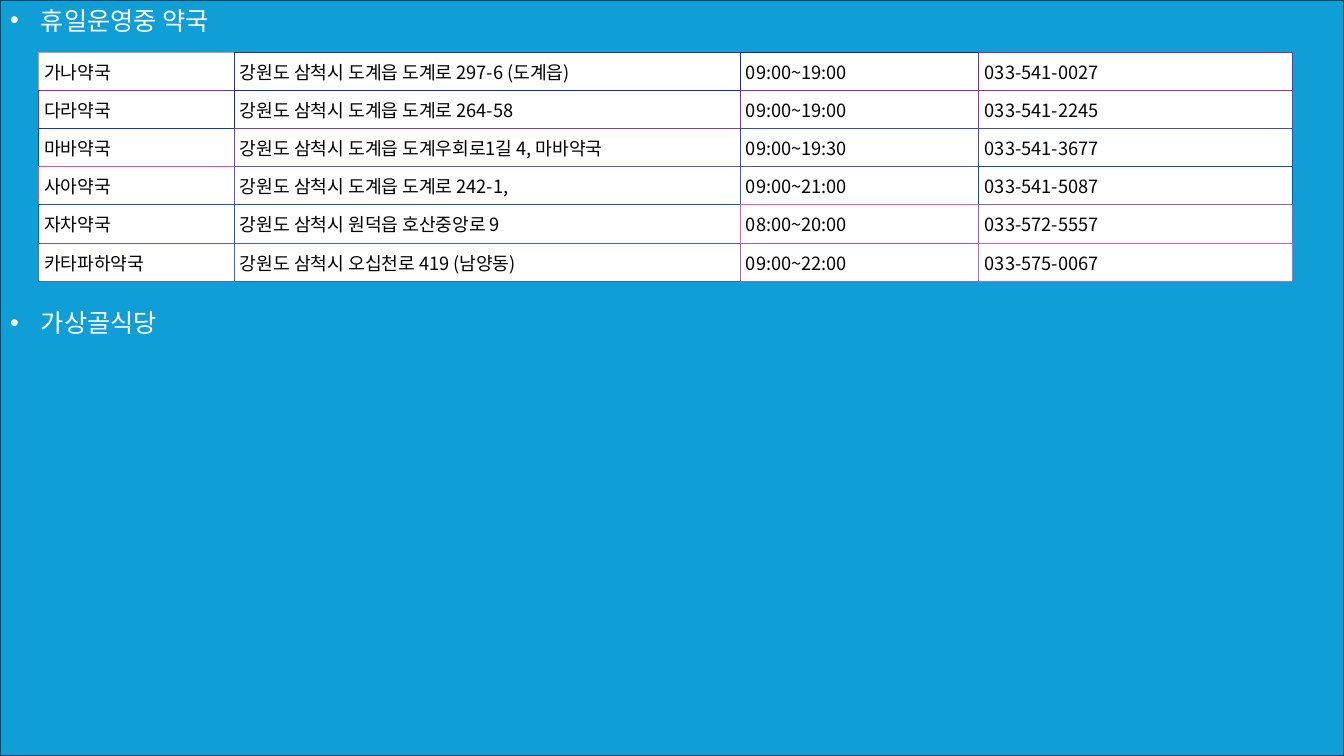
from dataclasses import dataclass

from lxml.etree import SubElement
from pptx import Presentation
from pptx.dml.color import RGBColor
from pptx.enum.text import MSO_ANCHOR, MSO_AUTO_SIZE
from pptx.oxml.ns import qn
from pptx.slide import Slide
from pptx.table import _Cell as Cell
from pptx.text.text import _Paragraph as Paragraph
from pptx.util import Emu, Pt

EMU_PER_PX = 914400 / 100.8
SLIDE_WIDTH, SLIDE_HEIGHT = 1344, 756
FONT = "Noto Sans CJK KR"

WHITE = RGBColor(0xFF, 0xFF, 0xFF)
BLACK = RGBColor(0x00, 0x00, 0x00)
SKY = RGBColor(0x0F, 0x9E, 0xD5)
NAVY = RGBColor(0x07, 0x45, 0x5D)


def px(length: int) -> Emu:
    return Emu(round(length * EMU_PER_PX))


@dataclass(frozen=True)
class Pharmacy:
    name: str
    address: str
    hours: str
    phone: str
    borders: tuple[RGBColor, ...]

    @property
    def texts(self) -> tuple[str, ...]:
        return self.name, self.address, self.hours, self.phone


@dataclass(frozen=True)
class Heading:
    text: str
    space_before: int


def colors(codes: str) -> tuple[RGBColor, ...]:
    return tuple(RGBColor.from_string(code) for code in codes.split())


HEADINGS = (Heading("휴일운영중 약국", 0), Heading("가상골식당", 272))

# Each cell's own border colour; a shared edge takes that of the later cell
PHARMACIES = (
    Pharmacy("가나약국", "강원도 삼척시 도계읍 도계로 297-6 (도계읍)", "09:00~19:00",
             "033-541-0027", colors("B09AB8 302DB8 1029B8 8025B8")),
    Pharmacy("다라약국", "강원도 삼척시 도계읍 도계로 264-58", "09:00~19:00",
             "033-541-2245", colors("9027B8 102CB8 9024B8 9030B8")),
    Pharmacy("마바약국", "강원도 삼척시 도계읍 도계우회로1길 4, 마바약국", "09:00~19:30",
             "033-541-3677", colors("0042B8 803DB8 3048B8 404DB8")),
    Pharmacy("사아약국", "강원도 삼척시 도계읍 도계로 242-1,", "09:00~21:00",
             "033-541-5087", colors("E049B8 505EB8 4059B8 0057B8")),
    Pharmacy("자차약국", "강원도 삼척시 원덕읍 호산중앙로 9", "08:00~20:00",
             "033-572-5557", colors("105CB8 105CB8 F054B8 905DB8")),
    Pharmacy("카타파하약국", "강원도 삼척시 오십천로 419 (남양동)", "09:00~22:00",
             "033-575-0067", colors("6060B8 4062B8 A062B8 C069B8")),
)
TABLE_LEFT, TABLE_TOP = 38, 52
COLUMN_WIDTHS = (196, 506, 239, 314)
ROW_HEIGHT = 38


def set_attributes(target: object, values: dict[str, object]) -> None:
    for name, value in values.items():
        setattr(target, name, value)


def write(paragraph: Paragraph, text: str, size: int, color: RGBColor) -> None:
    run = paragraph.add_run()
    run.text = text
    set_attributes(run.font, {"name": FONT, "size": Pt(size)})
    run.font.color.rgb = color
    run.font._element.set("kern", "0")
    SubElement(run.font._element, qn("a:ea"), typeface=FONT)


def add_border(cell: Cell, side: str, color: RGBColor) -> None:
    properties = cell._tc.get_or_add_tcPr()
    line = SubElement(properties, qn(f"a:ln{side}"), w=str(Pt(0.75)))
    fill = SubElement(line, qn("a:solidFill"))
    SubElement(fill, qn("a:srgbClr"), val=str(color))


def add_headings(slide: Slide) -> None:
    body = slide.placeholders[1]
    set_attributes(body, {"left": 0, "top": 0, "width": px(SLIDE_WIDTH),
                          "height": px(SLIDE_HEIGHT)})
    body.fill.solid()
    body.fill.fore_color.rgb = SKY
    body.line.color.rgb = NAVY
    body.line.width = Pt(1.5)
    frame = body.text_frame
    set_attributes(frame, {"auto_size": MSO_AUTO_SIZE.NONE, "word_wrap": True,
                           "vertical_anchor": MSO_ANCHOR.TOP,
                           "margin_left": px(10), "margin_top": px(5)})
    for index, heading in enumerate(HEADINGS):
        paragraph = frame.add_paragraph() if index else frame.paragraphs[0]
        paragraph.space_before = px(heading.space_before)
        properties = paragraph._p.get_or_add_pPr()
        properties.set("marL", str(px(31)))
        properties.set("indent", str(-px(31)))
        write(paragraph, heading.text, 18, WHITE)


def add_pharmacy_table(slide: Slide) -> None:
    rows, columns = len(PHARMACIES), len(COLUMN_WIDTHS)
    table = slide.shapes.add_table(
        rows, columns, px(TABLE_LEFT), px(TABLE_TOP),
        px(sum(COLUMN_WIDTHS)), px(ROW_HEIGHT * rows)).table
    set_attributes(table, {"first_row": False, "horz_banding": False})
    for column, width in zip(table.columns, COLUMN_WIDTHS):
        column.width = px(width)
    for row, pharmacy in enumerate(PHARMACIES):
        table.rows[row].height = px(ROW_HEIGHT)
        below = PHARMACIES[min(row + 1, rows - 1)]
        for column, text in enumerate(pharmacy.texts):
            cell = table.cell(row, column)
            margins = {f"margin_{side}": px(6)
                       for side in ("left", "right", "top", "bottom")}
            set_attributes(cell, {"vertical_anchor": MSO_ANCHOR.MIDDLE, **margins})
            write(cell.text_frame.paragraphs[0], text, 13, BLACK)
            own = pharmacy.borders[column]
            right = pharmacy.borders[min(column + 1, columns - 1)]
            for side, color in zip("LRTB", (own, right, own, below.borders[column])):
                add_border(cell, side, color)
            cell.fill.solid()
            cell.fill.fore_color.rgb = WHITE


def main() -> None:
    presentation = Presentation()
    set_attributes(presentation, {"slide_width": px(SLIDE_WIDTH),
                                  "slide_height": px(SLIDE_HEIGHT)})
    slide = presentation.slides.add_slide(presentation.slide_layouts[1])
    title = slide.shapes.title
    title.element.getparent().remove(title.element)
    add_headings(slide)
    add_pharmacy_table(slide)
    presentation.save("out.pptx")


if __name__ == "__main__":
    main()
